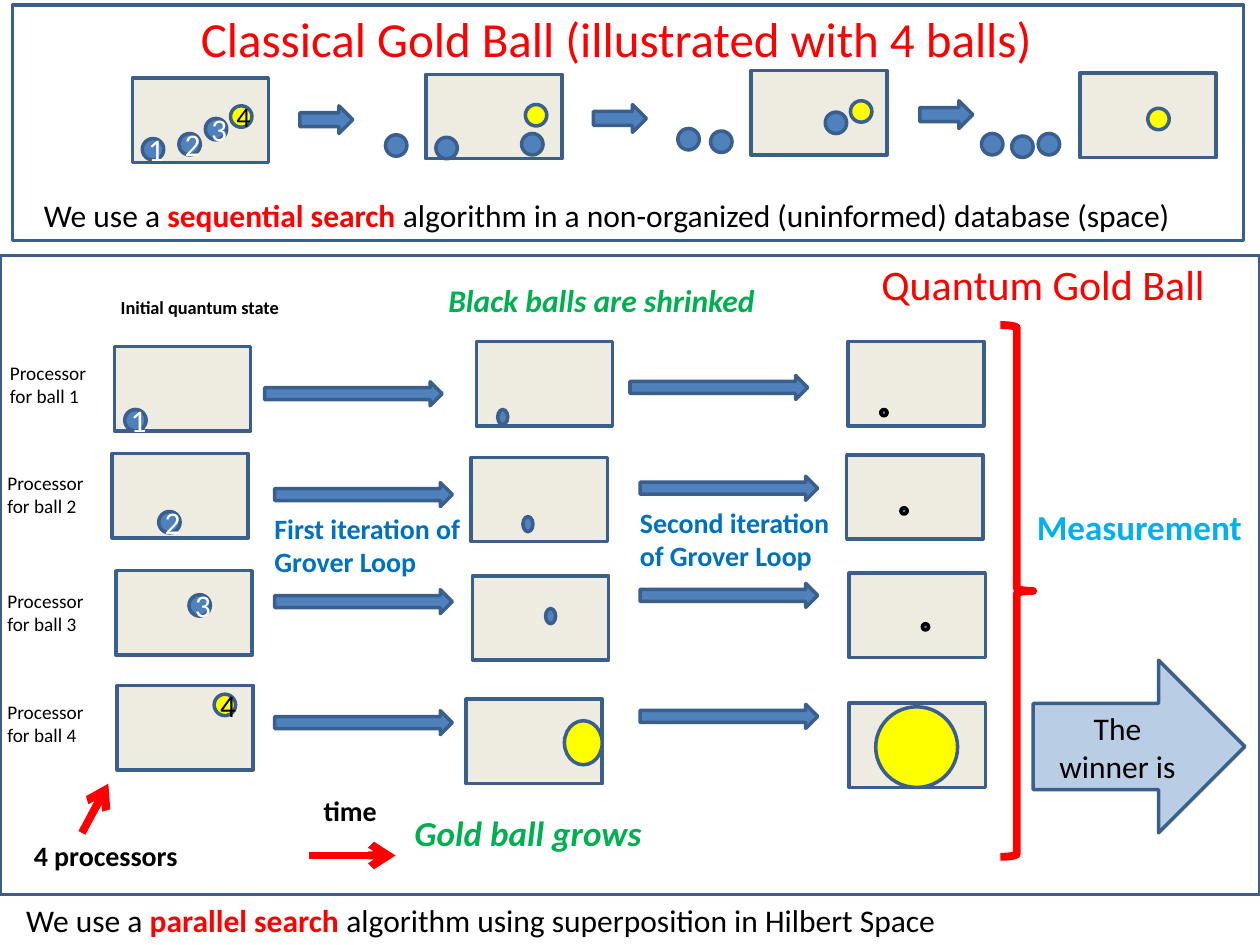
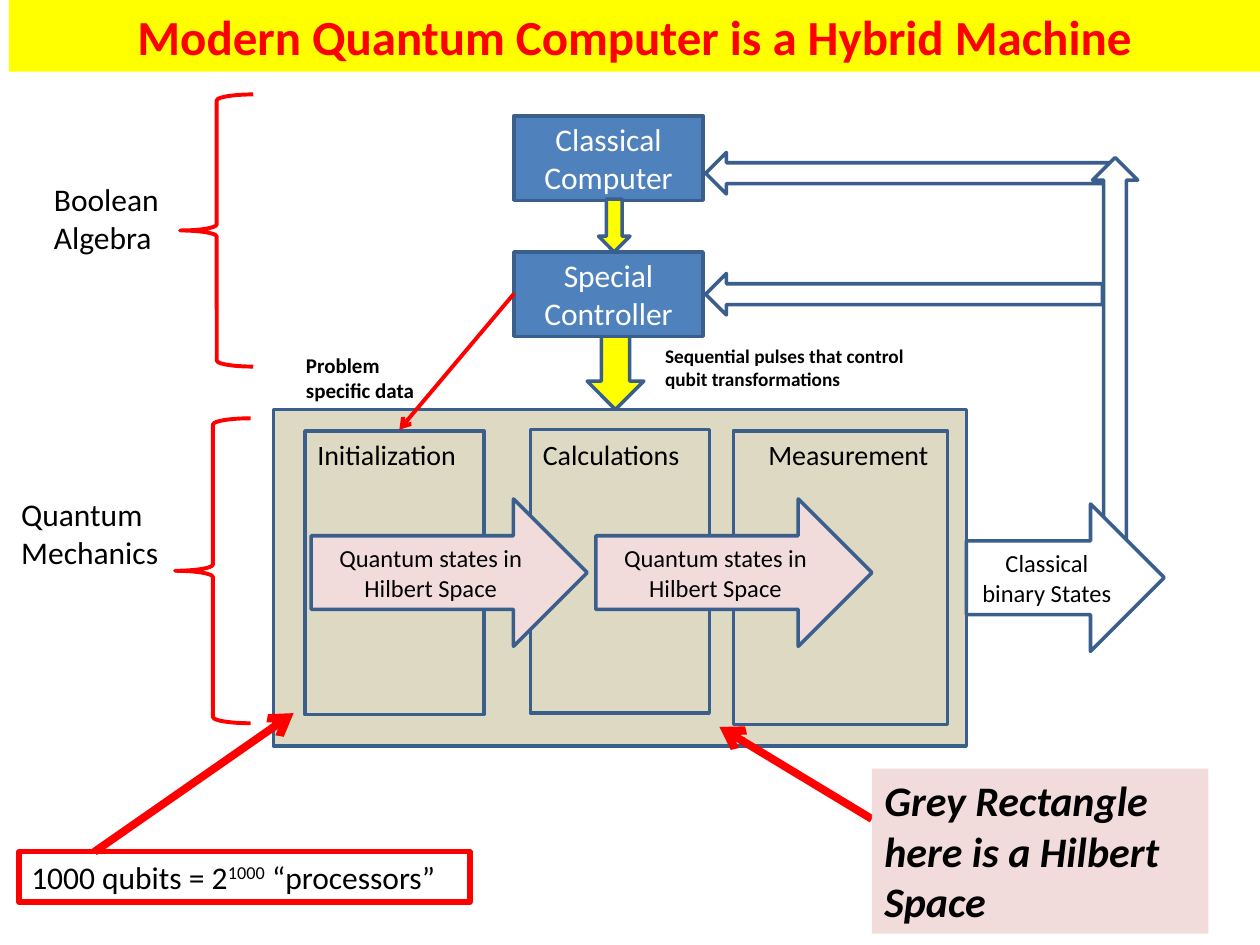
from dataclasses import dataclass, replace
from typing import NamedTuple, Optional, Sequence, Union

from lxml.etree import SubElement as add_node
from pptx import Presentation
from pptx.dml.color import RGBColor
from pptx.enum.shapes import MSO_CONNECTOR as Wire, MSO_SHAPE as Form
from pptx.enum.text import MSO_ANCHOR as Anchor, PP_ALIGN as Align
from pptx.oxml.ns import qn
from pptx.slide import Slide
from pptx.util import Inches, Pt

COLS, ROWS = 100, 75
WIDE, TALL = Inches(10), Inches(7.5)
FONT = "Calibri"

RED = RGBColor(0xFF, 0x00, 0x00)
BLUE = RGBColor(0x4F, 0x81, 0xBD)
EDGE = RGBColor(0x3A, 0x5F, 0x8C)
PALE = RGBColor(0xB9, 0xCD, 0xE5)
DEEP = RGBColor(0x00, 0x70, 0xC0)
SKY = RGBColor(0x00, 0xB0, 0xF0)
GREEN = RGBColor(0x00, 0xB0, 0x50)
GOLD = RGBColor(0xFF, 0xFF, 0x00)
CREAM = RGBColor(0xEE, 0xEC, 0xE1)
TAN = RGBColor(0xDD, 0xD9, 0xC3)
PINK = RGBColor(0xF2, 0xDC, 0xDB)
WHITE = RGBColor(0xFF, 0xFF, 0xFF)
BLACK = RGBColor(0x00, 0x00, 0x00)


class Run(NamedTuple):
    text: str
    tint: Optional[RGBColor] = None
    bold: bool = False
    lift: int = 0


class Spot(NamedTuple):
    col: float
    row: float
    wide: float
    tall: float


class Lane(NamedTuple):
    label: tuple
    frames: tuple
    balls: tuple
    arrow: tuple


@dataclass(frozen=True)
class Look:
    form: Optional[Form] = None
    fill: Optional[RGBColor] = None
    edge: Optional[RGBColor] = None
    weight: float = 2
    size: float = 18
    tint: RGBColor = BLACK
    bold: bool = False
    slant: bool = False
    align: Align = Align.LEFT
    anchor: Anchor = Anchor.TOP


LABEL = Look()
BOLD = Look(size=16, bold=True)
GROW = Look(tint=GREEN, bold=True, slant=True)
LOOP = replace(BOLD, tint=DEEP)
TITLE = Look(size=28, tint=RED, align=Align.CENTER, anchor=Anchor.MIDDLE)
BAND = replace(TITLE, fill=GOLD, bold=True, anchor=Anchor.TOP)
SHAPE = Look(Form.RECTANGLE, edge=EDGE, align=Align.CENTER, anchor=Anchor.MIDDLE)
FRAME = replace(SHAPE, fill=CREAM)
UNIT = replace(SHAPE, fill=BLUE, tint=WHITE)
BALL = replace(UNIT, form=Form.OVAL)
PRIZE = replace(BALL, fill=GOLD, tint=BLACK)
DOT = replace(BALL, edge=BLACK)
ARROW = replace(UNIT, form=Form.RIGHT_ARROW)
PULSE = replace(ARROW, form=Form.DOWN_ARROW, fill=GOLD)
STATE = replace(ARROW, fill=PINK, size=14, tint=BLACK)
BACK = replace(ARROW, form=Form.LEFT_ARROW, fill=WHITE)
BRACE = Look(Form.LEFT_BRACE, edge=RED, weight=2.25)

FRAME_SIZE = (10.8, 6.7)
BALL_SIZE = (1.7, 1.7)
SHORT = (4.2, 2.2)
LONG = (14.1, 1.9)
STAGES = ((BALL, BALL_SIZE), (BALL, (0.8, 1.2)), (DOT, (0.5, 0.5)))
GROWTH = ((PRIZE, BALL_SIZE), (PRIZE, (3, 3.5)), (PRIZE, (6.5, 6.4)))

SCENES = ((10.5, 6.2), (33.8, 5.9), (59.6, 5.6), (85.7, 5.8))
STEPS = ((23.8, 8.4), (47.1, 8.3), (73, 8))
MARKED = ((11.3, 11), (14.2, 10.6), (16.3, 9.4))
BALLS = ((34.6, 10.9), (41.4, 10.6), (30.6, 10.7), (53.8, 10.2), (56.4, 10.4),
         (65.5, 8.9), (77.9, 10.6), (80.3, 10.8), (82.4, 10.6))
PRIZES = ((41.7, 8.3), (67.5, 8), (91.1, 8.6))

LANES = (
    Lane((-0.2, 28.2), ((9.1, 27.5), (37.8, 27.1), (67.3, 27.1)),
         ((9.9, 32.5), (39.5, 32.5), (69.9, 32.5)), (21, 30.3)),
    Lane((-0.4, 36.9), ((8.9, 36), (37.4, 36.3), (67.2, 36.1)),
         ((12.6, 40.6), (41.5, 41), (71.5, 40.3)), (21.8, 38.3)),
    Lane((-0.4, 46.3), ((9.2, 45.3), (37.5, 45.7), (67.4, 45.5)),
         ((15, 47.2), (43.3, 48.3), (73.2, 49.5)), (21.8, 46.8)),
    Lane((-0.4, 55.1), ((9.3, 54.4), (37, 55.5), (67.4, 55.8)),
         ((17, 55.1), (44.8, 57.2), (69.5, 56.1)), (21.8, 56.4)),
)


def across(cols: float) -> int:
    return round(WIDE * cols / COLS)


def down(rows: float) -> int:
    return round(TALL * rows / ROWS)


def write(frame, look: Look, text: Union[str, Sequence[Run]]) -> None:
    frame.word_wrap = True
    frame.vertical_anchor = look.anchor
    para = frame.paragraphs[0]
    para.alignment = look.align
    for part in [Run(text)] if isinstance(text, str) else text:
        run = para.add_run()
        run.text = part.text
        font = run.font
        font.name, font.size = FONT, Pt(look.size)
        font.bold, font.italic = look.bold or part.bold, look.slant
        font.color.rgb = part.tint or look.tint
        if part.lift:
            run._r.get_or_add_rPr().set("baseline", str(part.lift * 1000))


def draw(slide: Slide, look: Look, spot: Sequence[float],
         text: Union[str, Sequence[Run]] = "") -> None:
    box = Spot(*spot)
    place = across(box.col), down(box.row), across(box.wide), down(box.tall)
    if look.form is None:
        shape = slide.shapes.add_textbox(*place)
    else:
        shape = slide.shapes.add_shape(look.form, *place)
        shape.shadow.inherit = False
    if look.fill is None:
        shape.fill.background()
    else:
        shape.fill.solid()
        shape.fill.fore_color.rgb = look.fill
    if look.edge is None:
        shape.line.fill.background()
    else:
        shape.line.color.rgb = look.edge
        shape.line.width = Pt(look.weight)
    if text:
        write(shape.text_frame, look, text)


def spread(slide: Slide, look: Look, spots: Sequence[tuple], size: tuple) -> None:
    for spot in spots:
        draw(slide, look, spot + size)


def point(slide: Slide, start: tuple, end: tuple, weight: float = 4.5) -> None:
    line = slide.shapes.add_connector(
        Wire.STRAIGHT, across(start[0]), down(start[1]), across(end[0]), down(end[1]))
    line.line.color.rgb = RED
    line.line.width = Pt(weight)
    add_node(line.line._get_or_add_ln(), qn("a:tailEnd"), type="arrow")
    add_node(line._element.spPr, qn("a:effectLst"))


def search(kind: str, rest: str) -> list:
    return [Run("We use a "), Run(f"{kind} search ", RED, True), Run(rest)]


def draw_lane(slide: Slide, num: int, lane: Lane) -> None:
    draw(slide, replace(LABEL, size=11), lane.label + (8.5, 4.7), f"Processor for ball {num}")
    spread(slide, FRAME, lane.frames, FRAME_SIZE)
    stages = GROWTH if num == len(LANES) else STAGES
    for step, (spot, (look, size)) in enumerate(zip(lane.balls, stages)):
        draw(slide, look, spot + size, "" if step else str(num))
    col, row = lane.arrow
    spread(slide, ARROW, ((col, row), (col + 29, row - 0.5)), LONG)


def draw_classic(slide: Slide) -> None:
    draw(slide, TITLE, (3.9, -0.3, 90, 6.7), "Classical Gold Ball (illustrated with 4 balls)")
    spread(slide, FRAME, SCENES, FRAME_SIZE)
    spread(slide, ARROW, STEPS, SHORT)
    for num, spot in enumerate(MARKED, 1):
        draw(slide, BALL, spot + BALL_SIZE, str(num))
    draw(slide, replace(PRIZE, size=16), (18.3, 8.4) + BALL_SIZE, "4")
    spread(slide, BALL, BALLS, BALL_SIZE)
    spread(slide, PRIZE, PRIZES, BALL_SIZE)
    draw(slide, LABEL, (2.5, 15.1, 93.3, 4),
         search("sequential", "algorithm in a non-organized (uninformed) database (space)"))
    draw(slide, SHAPE, (1, 0.4, 97.7, 18.7))


def draw_quantum(slide: Slide) -> None:
    draw(slide, replace(TITLE, size=24, align=Align.RIGHT), (65.1, 20, 31.5, 5),
         "Quantum Gold Ball")
    draw(slide, LABEL, (1.1, 71, 93.3, 4),
         search("parallel", "algorithm using superposition in Hilbert Space"))
    draw(slide, SHAPE, (0, 20.3, 100, 50.7))
    for num, lane in enumerate(LANES, 1):
        draw_lane(slide, num, lane)
    draw(slide, replace(BOLD, size=10.5), (8.6, 23, 15.6, 2.8), "Initial quantum state")
    draw(slide, GROW, (34.6, 21.8, 27.8, 4), "Black balls are shrinked")
    draw(slide, replace(GROW, size=20), (31.9, 63.9, 24.4, 4.4), "Gold ball grows")
    draw(slide, LOOP, (20.8, 40.1, 18.4, 6.4), "First iteration of Grover Loop")
    draw(slide, LOOP, (49.8, 39.6, 18.4, 6.4), "Second iteration of Grover Loop")
    draw(slide, BOLD, (1.7, 66.1, 27.3, 3.7), "4 processors")
    draw(slide, BOLD, (24.7, 62.5, 27.3, 3.7), "time")
    point(slide, (6.5, 66.1), (8.6, 62.2))
    point(slide, (24.5, 67.9), (31.4, 67.9))
    draw(slide, replace(BRACE, form=Form.RIGHT_BRACE, weight=4.5), (79.4, 25.8, 2.6, 42.2))
    draw(slide, replace(BOLD, size=20, tint=SKY), (81.3, 39.6, 19.5, 4.4), "Measurement")
    draw(slide, replace(ARROW, fill=PALE, tint=BLACK), (82, 52.4, 16.8, 13.7), "The winner is")


def draw_hybrid(slide: Slide) -> None:
    draw(slide, PULSE, (46.6, 25, 4.5, 7.5))
    for row, name in ((20, "Special Controller"), (9.2, "Classical Computer")):
        draw(slide, UNIT, (40.8, row, 15, 6.7), name)
    draw(slide, PULSE, (47.5, 15.8, 2.5, 4.2))
    draw(slide, replace(SHAPE, fill=TAN), (21.7, 32.5, 55, 26.7))
    for name, col, wide in (("Initialization", 24.2, 14.2), ("Calculations", 42.1, 14.2),
                            ("Measurement", 60, 15.8)):
        draw(slide, replace(LABEL, size=16), (col, 34.2, wide, 3.7), name)
    for spot in ((24.2, 34.2, 14.2, 22.5), (42.1, 34.1, 14.2, 22.5), (58.2, 34.2, 17, 23.3)):
        draw(slide, SHAPE, spot)
    point(slide, (40.8, 23.3), (31.7, 34.1), 2.25)
    draw(slide, replace(BOLD, size=12), (23.3, 27.5, 12.1, 5), "Problem specific data")
    draw(slide, replace(BOLD, size=11), (51.8, 26.8, 23.3, 4.7),
         "Sequential pulses that control qubit transformations")
    draw(slide, BACK, (56, 12.1, 32.5, 3.3))
    draw(slide, BACK, (56, 21.7, 31.5, 3.3))
    draw(slide, replace(BACK, form=Form.UP_ARROW), (86.7, 12.5, 3.6, 31.5))
    for col in (24.7, 47.3):
        draw(slide, STATE, (col, 39.6, 21.9, 11.7), "Quantum states in Hilbert Space")
    draw(slide, replace(STATE, fill=WHITE), (76.7, 40, 15.7, 11.7), "Classical binary States")
    draw(slide, replace(LABEL, edge=RED, weight=3), (1.5, 67.6, 35.8, 4),
         [Run("1000 qubits = 2"), Run("1000", lift=30), Run(" “processors”")])
    point(slide, (7.5, 67.6), (23.3, 56.6))
    point(slide, (69.2, 65), (57.1, 57.7))
    draw(slide, Look(fill=PINK, size=24, bold=True, slant=True), (69.2, 61, 26.7, 13.1),
         "Grey Rectangle here is a Hilbert Space")
    draw(slide, BRACE, (14.3, 7.5, 5.8, 21.6))
    draw(slide, BRACE, (13.9, 33.2, 6, 24.2))
    draw(slide, LABEL, (3.3, 13.8, 11, 7.1), "Boolean Algebra")
    draw(slide, LABEL, (0.7, 38.8, 13.9, 7.1), "Quantum Mechanics")
    draw(slide, BAND, (0.7, 0, 99.3, 5.7), "Modern Quantum Computer is a Hybrid Machine")


def main() -> None:
    deck = Presentation()
    deck.slide_width, deck.slide_height = WIDE, TALL
    blank = deck.slide_layouts[6]
    first = deck.slides.add_slide(blank)
    draw_classic(first)
    draw_quantum(first)
    draw_hybrid(deck.slides.add_slide(blank))
    deck.save("out.pptx")


if __name__ == "__main__":
    main()
